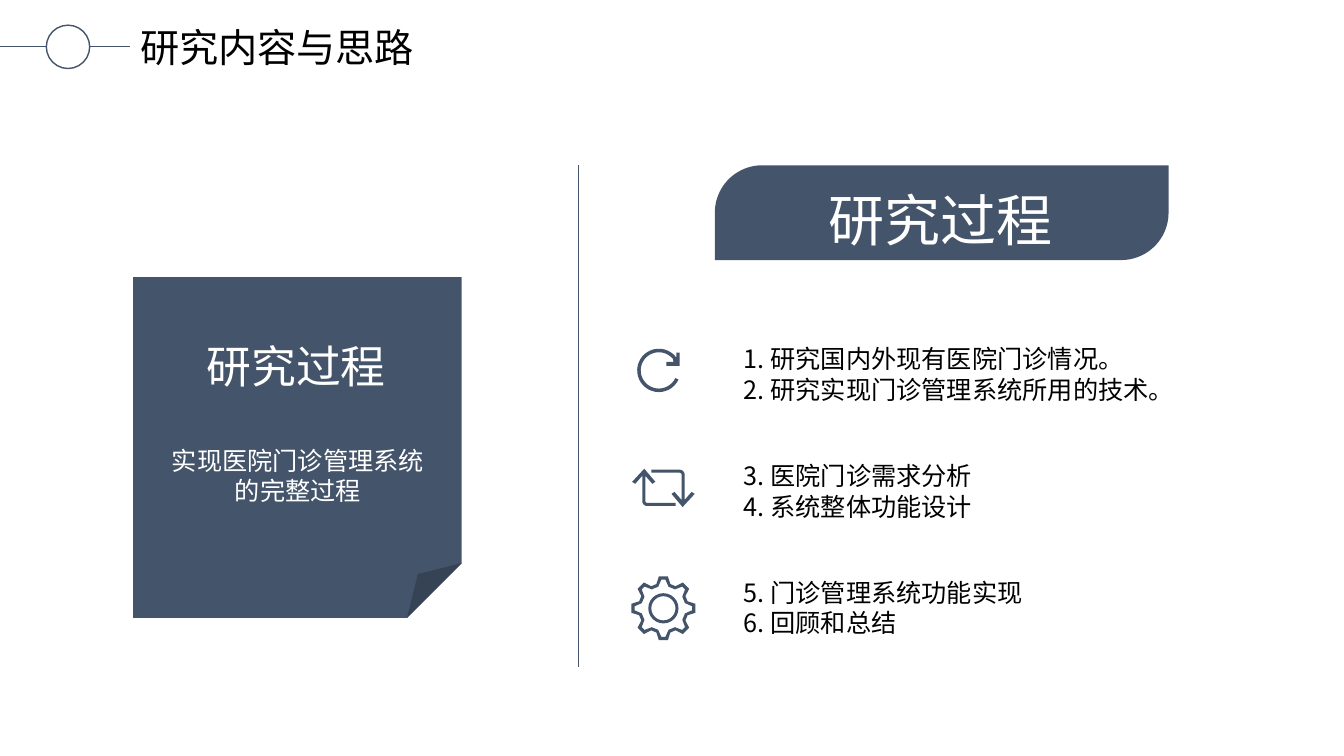
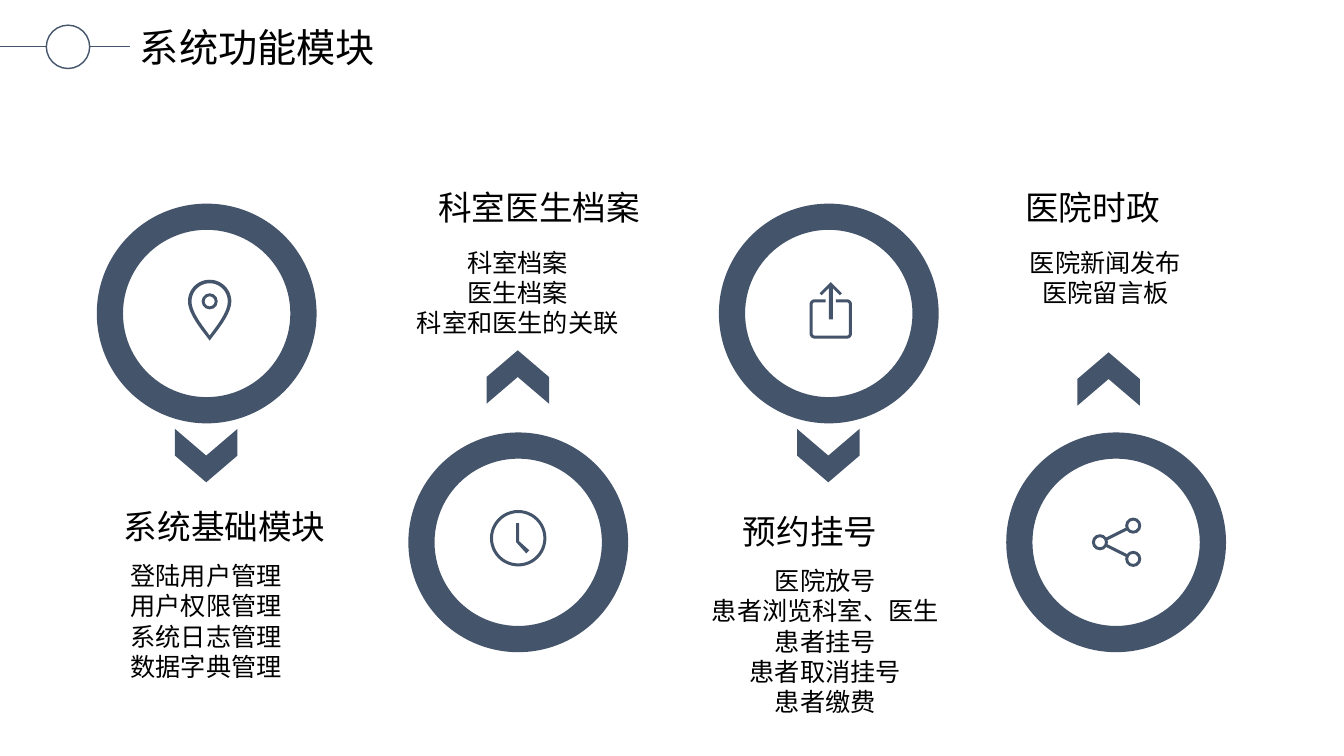
"""Build two slides on the research plan and the modules of a clinic system."""
from dataclasses import dataclass
from math import cos, radians, sin

from lxml import etree
from pptx import Presentation
from pptx.dml.color import RGBColor
from pptx.enum.shapes import MSO_CONNECTOR, MSO_SHAPE
from pptx.enum.text import MSO_AUTO_SIZE, PP_ALIGN
from pptx.oxml.ns import qn
from pptx.util import Inches, Pt

STRAIGHT = MSO_CONNECTOR.STRAIGHT
OVAL, DONUT, CHEVRON = MSO_SHAPE.OVAL, MSO_SHAPE.DONUT, MSO_SHAPE.CHEVRON
FOLDED_NOTE, BANNER = MSO_SHAPE.FOLDED_CORNER, MSO_SHAPE.ROUND_2_DIAG_RECTANGLE
LEFT, CENTER = PP_ALIGN.LEFT, PP_ALIGN.CENTER
FIT_SHAPE = MSO_AUTO_SIZE.SHAPE_TO_FIT_TEXT


@dataclass(frozen=True)
class Theme:
    accent: RGBColor = RGBColor(0x44, 0x54, 0x6A)
    ink: RGBColor = RGBColor(0, 0, 0)
    white: RGBColor = RGBColor(0xFF, 0xFF, 0xFF)
    font: str = "Noto Sans CJK SC"
    title: int = 28
    banner: int = 40
    note: int = 32
    heading: int = 24
    body: int = 18
    hairline: float = 0.5
    outline: float = 1
    stroke: float = 0.03


THEME = Theme()

PROCESS_TITLE = "研究内容与思路"
PROCESS_NAME = "研究过程"
PROCESS_SUMMARY = "实现医院门诊管理系统的完整过程"
PROCESS_STEPS = [
    ("refresh", ["1. 研究国内外现有医院门诊情况。", "2. 研究实现门诊管理系统所用的技术。"]),
    ("repeat", ["3. 医院门诊需求分析", "4. 系统整体功能设计"]),
    ("gear", ["5. 门诊管理系统功能实现", "6. 回顾和总结"]),
]
STEP_TOP, STEP_PITCH = 3.36, 1.16

MODULES_TITLE = "系统功能模块"
MODULES = [
    dict(icon="pin", ring=(0.96, 2.02), chevron=(1.78, 4.21), turn=90,
         name="系统基础模块", name_at=(1.13, 4.97, 2.2), items_at=(0.71, 5.51),
         items=["登陆用户管理", "用户权限管理", "系统日志管理", "数据字典管理"]),
    dict(icon="clock", ring=(4.05, 4.29), chevron=(4.87, 3.43), turn=270,
         name="科室医生档案", name_at=(4.25, 1.81, 2.2), items_at=(3.8, 2.4),
         items=["科室档案", "医生档案", "科室和医生的关联"]),
    dict(icon="upload", ring=(7.13, 2.02), chevron=(7.95, 4.21), turn=90,
         name="预约挂号", name_at=(7.27, 5.02, 1.53), items_at=(6.85, 5.56),
         items=["医院放号", "患者浏览科室、医生", "患者挂号", "患者取消挂号", "患者缴费"]),
    dict(icon="network", ring=(9.98, 4.29), chevron=(10.73, 3.45), turn=270,
         name="医院时政", name_at=(10.07, 1.81, 1.53), items_at=(9.63, 2.4),
         items=["医院新闻发布", "医院留言板"]),
]
RING_SIZE, RING_BAND = 2.18, 0.26
LINE_HEIGHT, TEXT_PADDING = 0.3, 0.11


def add_text(slide, box, lines, size, color=THEME.ink, align=LEFT, wrap=True):
    frame = slide.shapes.add_textbox(*map(Inches, box)).text_frame
    frame.word_wrap = wrap
    frame.auto_size = FIT_SHAPE
    for index, line in enumerate(lines):
        paragraph = frame.add_paragraph() if index else frame.paragraphs[0]
        paragraph.alignment = align
        run = paragraph.add_run()
        run.text = line
        for name, value in {"size": Pt(size), "name": THEME.font}.items():
            setattr(run.font, name, value)
        run.font.color.rgb = color
        etree.SubElement(run._r.get_or_add_rPr(), qn("a:ea"), typeface=THEME.font)


def style(shape, fill=THEME.accent, line=None):
    shape.shadow.inherit = False
    shape.fill.solid()
    shape.fill.fore_color.rgb = fill
    if line is None:
        shape.line.fill.background()
    else:
        shape.line.color.rgb = line
        shape.line.width = Pt(THEME.outline)


def add_block(shapes, kind, box, adjustments=(), **colors):
    shape = shapes.add_shape(kind, *map(Inches, box))
    for index, value in enumerate(adjustments):
        shape.adjustments[index] = value
    style(shape, **colors)
    return shape


def add_ring(shapes, x, y, radius, band=THEME.stroke):
    size = 2 * radius
    add_block(shapes, DONUT, (x - radius, y - radius, size, size), [band / size])


def add_line(shapes, start, end, width=THEME.hairline):
    line = shapes.add_connector(STRAIGHT, *map(Inches, (*start, *end)))
    line.line.color.rgb = THEME.accent
    line.line.width = Pt(width)
    etree.SubElement(line._element.spPr, qn("a:effectLst"))


def add_outline(shapes, *contours):
    builder = None
    for contour in contours:
        points = [(Inches(x), Inches(y)) for x, y in contour]
        if builder is None:
            builder = shapes.build_freeform(*points[0], scale=1.0)
        else:
            builder.move_to(*points[0])
        builder.add_line_segments(points[1:], close=True)
    style(builder.convert_to_shape())


def polar(x, y, radius, angle):
    return x + radius * cos(radians(angle)), y + radius * sin(radians(angle))


def arc(x, y, radius, start, end, steps=32):
    return [polar(x, y, radius, start + (end - start) * i / steps) for i in range(steps + 1)]


def bezier(a, b, c, d, steps=16):
    def blend(t, values):
        weights = ((1 - t) ** 3, 3 * t * (1 - t) ** 2, 3 * t * t * (1 - t), t ** 3)
        return sum(w * v for w, v in zip(weights, values))
    return [tuple(blend(i / steps, axis) for axis in zip(a, b, c, d)) for i in range(steps + 1)]


def draw_refresh(shapes):
    x, y = 6.535, 3.675
    head = [(6.71, 3.57), (6.71, 3.5), (6.74, 3.5), (6.74, 3.63),
            (6.61, 3.63), (6.61, 3.59), (6.68, 3.59)]
    add_outline(shapes, arc(x, y, 0.215, 25, 323) + head + arc(x, y, 0.18, 321, 25))


def draw_repeat(shapes):
    x, y = 6.58, 4.84
    head = [(6.79, 4.96), (6.86, 4.88), (6.89, 4.9), (6.77, 5.03),
            (6.66, 4.9), (6.69, 4.88), (6.76, 4.96)]
    half = [(6.46, 4.66), *arc(6.74, 4.71, 0.05, 270, 360), *head,
            *arc(6.74, 4.71, 0.02, 360, 270), (6.46, 4.69)]
    add_outline(shapes, half, [(2 * x - px, 2 * y - py) for px, py in half])


def draw_gear(shapes):
    x, y = 6.58, 6.035

    def teeth(tip, tip_angle, base, base_angle):
        corners = ((base, -base_angle), (tip, -tip_angle), (tip, tip_angle), (base, base_angle))
        return [polar(x, y, radius, 45 * i + angle) for i in range(8) for radius, angle in corners]

    add_outline(shapes, teeth(0.32, 8, 0.25, 16), teeth(0.285, 4, 0.22, 13.5))
    add_ring(shapes, x, y, 0.15)


def draw_pin(shapes):
    x, y = 2.08, 2.99

    def drop(radius, depth):
        side = bezier((x + radius, y), (x + radius, y + 0.36 * depth),
                      (x + 0.03, y + depth - 0.05), (x, y + depth))
        return arc(x, y, radius, 180, 360) + side + [(2 * x - px, py) for px, py in side[::-1]]

    add_outline(shapes, drop(0.215, 0.39), drop(0.18, 0.34))
    add_ring(shapes, x, y, 0.08)


def draw_clock(shapes):
    add_ring(shapes, 5.14, 5.34, 0.28)
    add_outline(shapes, [(5.22, 5.49), (5.12, 5.38), (5.12, 5.19),
                         (5.15, 5.19), (5.15, 5.37), (5.25, 5.46)])


def draw_upload(shapes):
    corners = [(8.08, 3.02, 270), (8.08, 3.31, 180), (8.4, 3.31, 90), (8.4, 3.02, 0)]

    def tray(radius):
        return [point for x, y, angle in corners for point in arc(x, y, radius, angle, angle - 90, 8)]

    box = [(8.19, 2.97), *tray(0.05), (8.29, 2.97), (8.29, 3), *tray(0.02)[::-1], (8.19, 3)]
    arrow = [(8.24, 2.8), (8.35, 2.91), (8.33, 2.93), (8.26, 2.86), (8.26, 3.17),
             (8.22, 3.17), (8.22, 2.86), (8.15, 2.93), (8.13, 2.91)]
    add_outline(shapes, box, arrow)


def draw_network(shapes):
    x, y = 10.91, 5.38
    add_ring(shapes, x, y, 0.08)
    for side in (-1, 1):
        add_ring(shapes, x + 0.33, y + 0.165 * side, 0.08)
        add_line(shapes, (x + 0.06, y + 0.03 * side), (x + 0.27, y + 0.135 * side),
                 THEME.stroke * 72)


ICONS = dict(refresh=draw_refresh, repeat=draw_repeat, gear=draw_gear, pin=draw_pin,
             clock=draw_clock, upload=draw_upload, network=draw_network)


def add_icon(slide, name):
    ICONS[name](slide.shapes.add_group_shape().shapes)


def add_slide(presentation, title, title_width):
    slide = presentation.slides.add_slide(presentation.slide_layouts[6])
    slide.background.fill.solid()
    slide.background.fill.fore_color.rgb = THEME.white
    add_line(slide.shapes, (0, 0.46), (1.29, 0.46))
    add_text(slide, (1.29, 0.18, title_width, 0.57), [title], THEME.title, wrap=False)
    add_block(slide.shapes, OVAL, (0.46, 0.25, 0.43, 0.43), fill=THEME.white, line=THEME.accent)
    return slide


def build_process(presentation):
    slide = add_slide(presentation, PROCESS_TITLE, 2.95)
    add_block(slide.shapes, BANNER, (7.09, 1.64, 4.5, 0.94), [0.5, 0])
    add_block(slide.shapes, FOLDED_NOTE, (1.32, 2.75, 3.26, 3.38))
    add_text(slide, (1.95, 3.31, 1.98, 0.64), [PROCESS_NAME], THEME.note, THEME.white, wrap=False)
    add_text(slide, (1.57, 4.37, 2.77, 0.71), [PROCESS_SUMMARY], THEME.body, THEME.white, CENTER)
    add_text(slide, (8.12, 1.79, 2.42, 0.77), [PROCESS_NAME], THEME.banner, THEME.white, wrap=False)
    add_line(slide.shapes, (5.74, 1.64), (5.74, 6.62))
    for index, (icon, lines) in enumerate(PROCESS_STEPS):
        add_text(slide, (7.28, STEP_TOP + index * STEP_PITCH, 5.03, 0.71), lines, THEME.body)
        add_icon(slide, icon)


def build_modules(presentation):
    slide = add_slide(presentation, MODULES_TITLE, 2.53)
    for module in MODULES:
        left, top = module["ring"]
        radius = RING_SIZE / 2
        add_ring(slide.shapes, left + radius, top + radius, radius, RING_BAND)
        add_icon(slide, module["icon"])
        add_block(slide.shapes, CHEVRON, (*module["chevron"], 0.53, 0.62)).rotation = module["turn"]
        add_text(slide, (*module["name_at"], 0.5), [module["name"]], THEME.heading, wrap=False)
        height = TEXT_PADDING + LINE_HEIGHT * len(module["items"])
        add_text(slide, (*module["items_at"], 2.67, height), module["items"], THEME.body,
                 align=CENTER)


def main():
    presentation = Presentation()
    presentation.slide_width, presentation.slide_height = Inches(13.33), Inches(7.5)
    build_process(presentation)
    build_modules(presentation)
    presentation.save("out.pptx")


if __name__ == "__main__":
    main()
